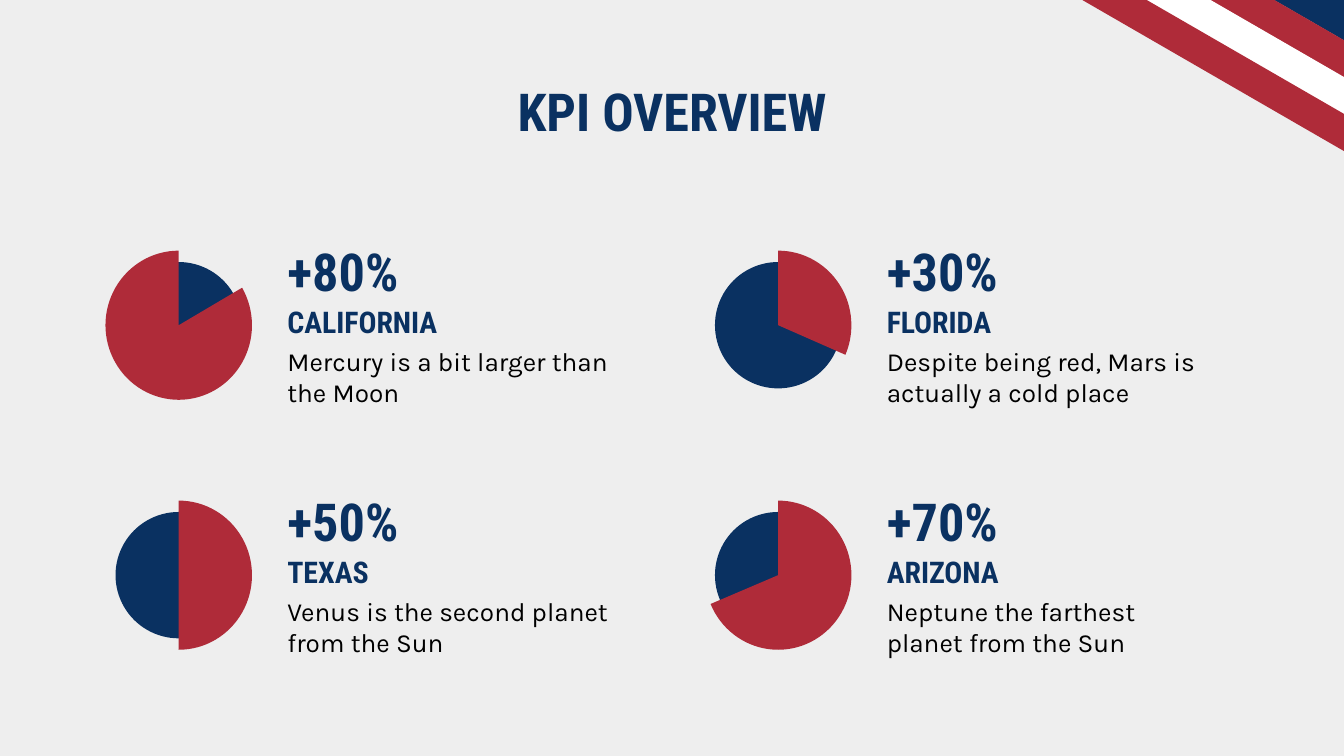
import pptx
import pptx.dml.color
import pptx.enum.shapes
import pptx.enum.text
import pptx.util

Shape = pptx.enum.shapes.MSO_SHAPE
Anchor = pptx.enum.text.MSO_ANCHOR
Align = pptx.enum.text.PP_ALIGN

UNIT = 0.1  # one grid column or row, in inches
COLUMNS, ROWS = 100, 56.25
NAVY, RED, WHITE, GREY, BLACK = "0A3161", "AF2B39", "FFFFFF", "EEEEEE", "000000"
HEADING, BODY = "Roboto Condensed", "Karla"
TOP = 270  # angle of twelve o'clock, clockwise from three o'clock


def colour(value):
    return pptx.dml.color.RGBColor.from_string(value)


def grid(*lengths):
    return [pptx.util.Inches(length * UNIT) for length in lengths]


def add_text(page, box, text, font=HEADING, size=28, color=NAVY, bold=True,
             align=Align.LEFT, anchor=Anchor.MIDDLE):
    frame = page.shapes.add_textbox(*grid(*box)).text_frame
    frame.word_wrap = True
    frame.vertical_anchor = anchor
    frame.margin_left = frame.margin_right = pptx.util.Inches(0.1)
    frame.margin_top = frame.margin_bottom = pptx.util.Inches(0.1)
    para = frame.paragraphs[0]
    para.alignment = align
    span = para.add_run()
    span.text = text
    span.font.name = font
    span.font.size = pptx.util.Pt(size)
    span.font.bold = bold
    span.font.color.rgb = colour(color)


def add_solid(page, kind, box, fill):
    shape = page.shapes.add_shape(kind, *grid(*box))
    shape.shadow.inherit = False
    shape.fill.solid()
    shape.fill.fore_color.rgb = colour(fill)
    shape.line.fill.background()
    return shape


def add_dial(page, box, start, end):
    """Navy disc with a slightly larger red sector over it."""
    left, top, width, height = box
    disc = 9.4
    add_solid(page, Shape.OVAL,
              (left + (width - disc) / 2, top + (height - disc) / 2, disc, disc), NAVY)
    sector = add_solid(page, Shape.PIE, box, RED)
    # Angles are stored in 60000ths of a degree, adjustments in 100000ths
    for index, angle in enumerate((start, end)):
        sector.adjustments[index] = angle * 0.6


def add_kpi(page, box, figure, state, note, start, end):
    left, top, width, height = box
    text_left, text_width = left + 12.5, width - 12.5
    add_dial(page, (left - 0.05, top + 0.65, 10.9, 11.1), start, end)
    add_text(page, (text_left, top, 19.9, 4.3), figure)
    add_text(page, (text_left, top + 4.3, text_width, 3.3), state, size=16)
    add_text(page, (text_left, top + 6.7, text_width, height - 6.7), note,
             font=BODY, size=14, color=BLACK, bold=False, anchor=Anchor.TOP)


def add_kpis(page, box):
    left, top, width, height = box
    kpis = [
        ("+80%", "CALIFORNIA", "Mercury is a bit larger than the Moon", 329.4, TOP),
        ("+30%", "FLORIDA", "Despite being red, Mars is actually a cold place", TOP, 23.7),
        ("+50%", "TEXAS", "Venus is the second planet from the Sun", TOP, 90),
        ("+70%", "ARIZONA", "Neptune the farthest planet from the Sun", TOP, 156.9),
    ]
    cell_width, cell_height = 39.1, 13.7
    for index, kpi in enumerate(kpis):
        row, column = divmod(index, 2)
        cell = (left + column * (width - cell_width), top + row * (height - cell_height),
                cell_width, cell_height)
        add_kpi(page, cell, *kpi)


def add_corner(page, box):
    """Slanted bands, stepping down and left from the given first band."""
    left, top, width, height = box
    bands = [add_solid(page, Shape.RECTANGLE, (left + 1.5, top - 3.4, width, 3.8), NAVY)]
    for index, fill in enumerate((RED, WHITE, RED)):
        bands.append(add_solid(page, Shape.RECTANGLE,
                               (left - 1.2 * index, top + 2.05 * index, width, height), fill))
    for band in bands:
        band.rotation = 30


def main():
    deck = pptx.Presentation()
    deck.slide_width, deck.slide_height = grid(COLUMNS, ROWS)
    page = deck.slides.add_slide(deck.slide_layouts[6])
    page.background.fill.solid()
    page.background.fill.fore_color.rgb = colour(GREY)

    # Title
    add_text(page, (7.9, 4.9, 84.2, 6.3), "KPI OVERVIEW",
             align=Align.CENTER, anchor=Anchor.TOP)
    # Two by two figures
    add_kpis(page, (7.9, 18, 83.7, 32.3))
    # Corner bands
    add_corner(page, (78.9, 0, 31.2, 2.4))

    deck.save("out.pptx")


if __name__ == "__main__":
    main()
